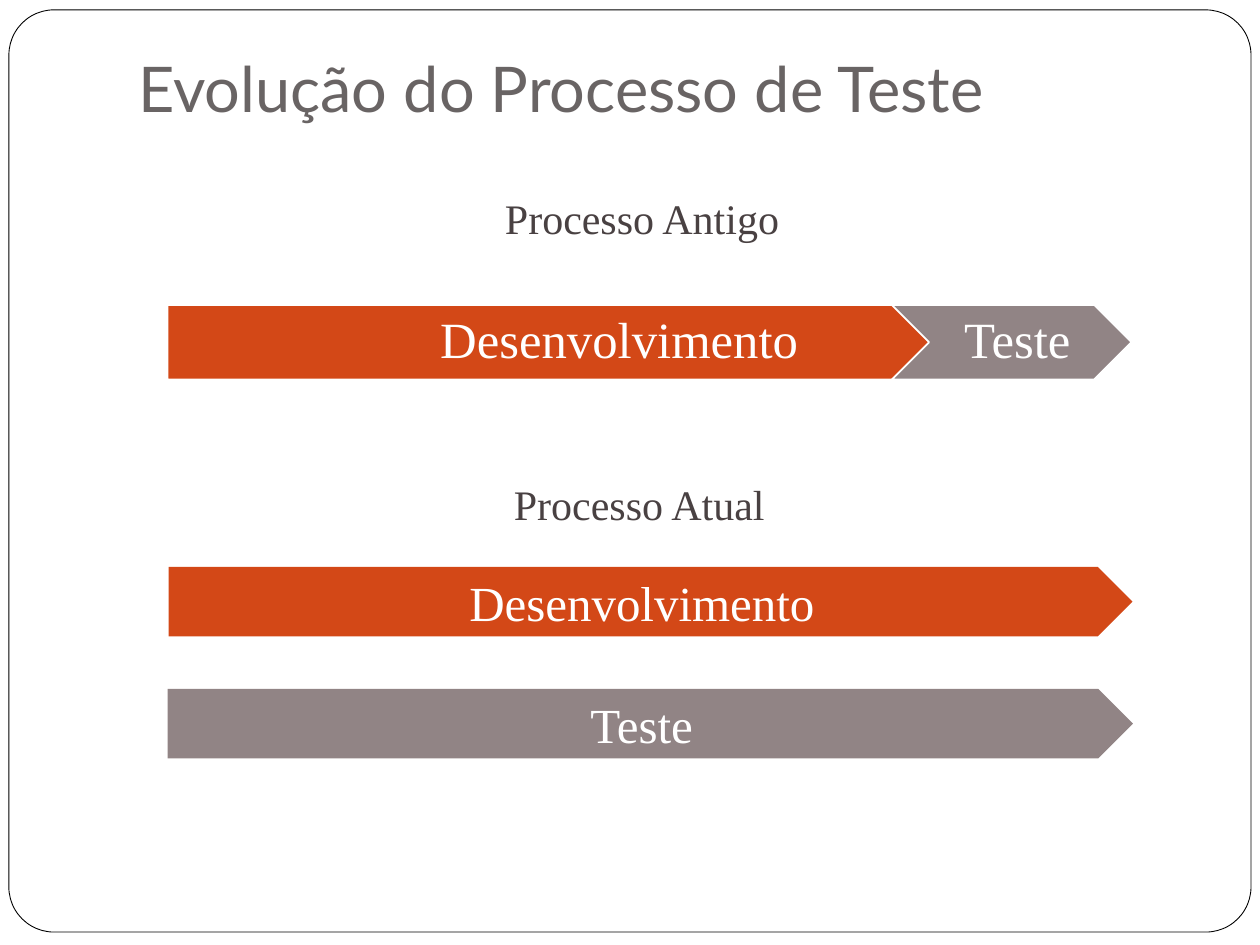
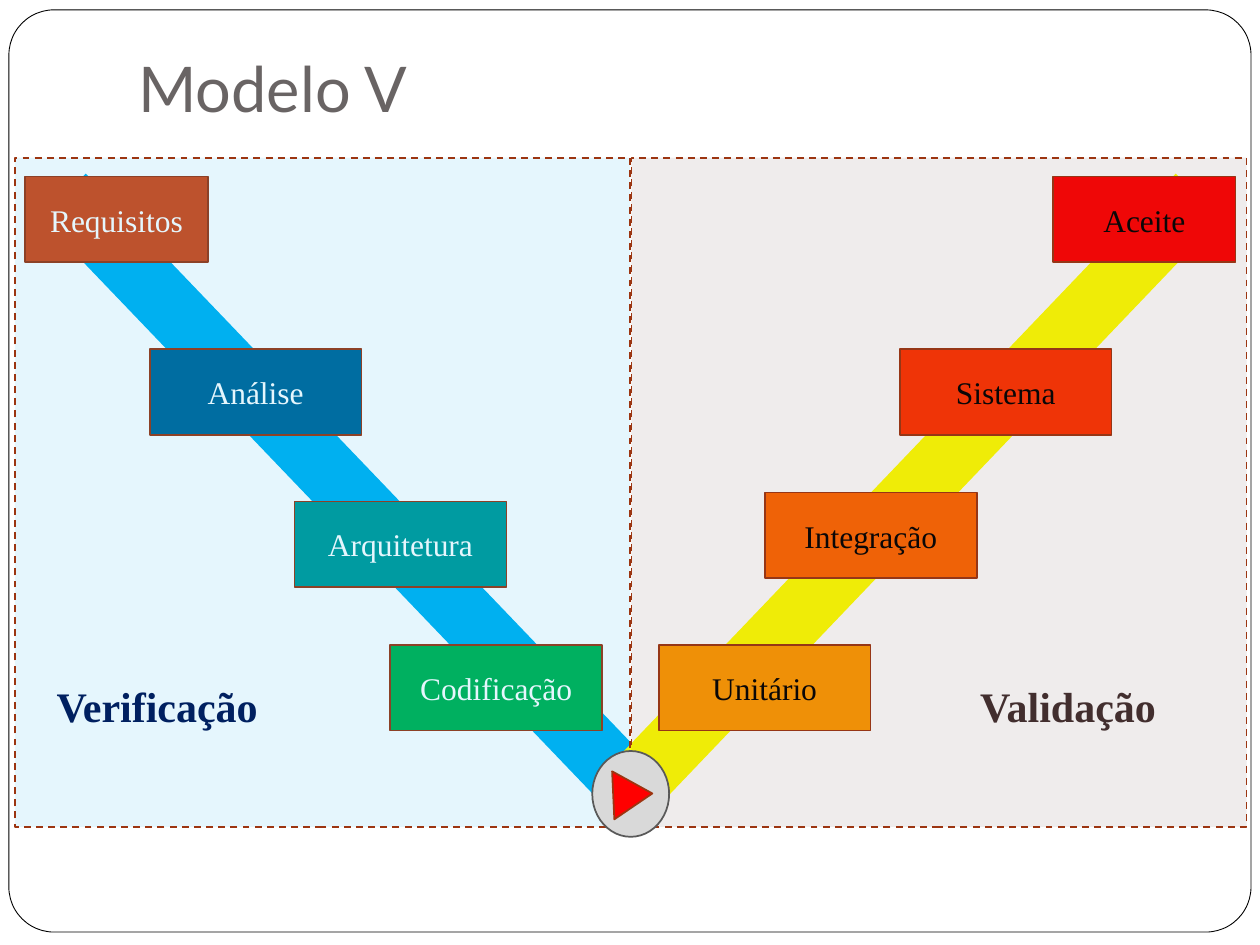
from lxml.etree import SubElement
from pptx import Presentation
from pptx.dml.color import RGBColor
from pptx.enum.dml import MSO_LINE_DASH_STYLE as Dash
from pptx.enum.shapes import MSO_CONNECTOR_TYPE as Connector
from pptx.enum.shapes import MSO_AUTO_SHAPE_TYPE as Shape
from pptx.enum.text import MSO_VERTICAL_ANCHOR as Anchor
from pptx.enum.text import PP_PARAGRAPH_ALIGNMENT as Align
from pptx.oxml.ns import qn
from pptx.util import Cm, Pt

COLORS = {
    "white": "FFFFFF", "black": "000000", "title": "696464",
    "label": "494142", "orange": "D34817", "taupe": "918485",
    "rust": "9C3511", "blue": "006699", "teal": "009999",
    "green": "00B050", "red": "FF0000", "scarlet": "FF3300",
    "tangerine": "FF6600", "amber": "FF9900", "sky": "00B0F0",
    "yellow": "FFFF00", "mauve": "644646", "silver": "D9D9D9",
    "gray": "595959", "navy": "002060", "plum": "422E2E",
}


class Deck:
    body_font = "Times New Roman"
    title_font = "Lato"

    def __init__(self):
        self.deck = Presentation()
        self.deck.slide_width = Cm(25.4)
        self.deck.slide_height = Cm(19.05)
        self.page = None

    def color(self, name):
        return RGBColor.from_string(COLORS[name])

    def add_page(self, title):
        self.page = self.deck.slides.add_slide(self.deck.slide_layouts[6])
        frame = self.shape(Shape.ROUNDED_RECTANGLE, (0.18, 0.2, 25.04, 18.59),
                           "white", "black", 0.5)
        frame.adjustments[0] = 0.049
        box = self.label(title, (2.54, 0.76, 21.59, 2.01), "title", 36,
                         font=self.title_font)
        box.text_frame.vertical_anchor = Anchor.BOTTOM
        box.text_frame.margin_bottom = Cm(0.25)

    def set_text(self, box, text, size, color, font=None, bold=False, align=Align.LEFT):
        box.text_frame.word_wrap = True
        para = box.text_frame.paragraphs[0]
        para.text = text
        para.alignment = align
        para.font.name = font or self.body_font
        para.font.size = Pt(size)
        para.font.bold = bold
        para.font.color.rgb = self.color(color)

    def label(self, text, place, color, size=24, **style):
        box = self.page.shapes.add_textbox(*map(Cm, place))
        self.set_text(box, text, size, color, **style)
        return box

    def shape(self, kind, place, fill, line=None, width=1):
        shape = self.page.shapes.add_shape(kind, *map(Cm, place))
        shape.shadow.inherit = False
        shape.fill.solid()
        shape.fill.fore_color.rgb = self.color(fill)
        if line:
            shape.line.color.rgb = self.color(line)
            shape.line.width = Pt(width)
        else:
            shape.line.fill.background()
        return shape

    def block(self, text, kind, place, fill, line=None, size=18, color="white"):
        shape = self.shape(kind, place, fill, line)
        shape.text_frame.vertical_anchor = Anchor.MIDDLE
        self.set_text(shape, text, size, color, align=Align.CENTER)
        return shape

    def phase(self, text, kind, place, fill, left_margin):
        shape = self.block(text, kind, place, fill, "white", 29)
        frame = shape.text_frame
        frame.margin_left = Cm(left_margin)
        frame.margin_right = Cm(0.1)
        frame.margin_top = frame.margin_bottom = Cm(0.2)
        frame.paragraphs[0].line_spacing = 0.9

    def arm(self, start, end, color):
        arm = self.page.shapes.add_connector(Connector.STRAIGHT, *map(Cm, start + end))
        arm.line.color.rgb = self.color(color)
        arm.line.width = Pt(36)
        SubElement(arm._element.spPr, qn("a:effectLst"))

    def half(self, place, fill):
        half = self.shape(Shape.RECTANGLE, place, fill, "rust")
        half.line.dash_style = Dash.DASH
        tint = half._element.spPr.find(qn("a:solidFill")).find(qn("a:srgbClr"))
        SubElement(tint, qn("a:alpha"), val="10000")


def process_page(deck):
    deck.add_page("Evolução do Processo de Teste")
    deck.block("Desenvolvimento", Shape.PENTAGON, (3.4, 11.43, 19.43, 1.4),
               "orange", size=28)
    deck.block("Teste", Shape.PENTAGON, (3.38, 13.89, 19.46, 1.4), "taupe", size=28)
    deck.phase("Desenvolvimento", Shape.PENTAGON, (3.38, 6.15, 18.26, 1.5),
               "orange", 0.43)
    deck.phase("Teste", Shape.CHEVRON, (17.98, 6.15, 4.83, 1.5), "taupe", 0.33)
    deck.label("Processo Antigo", (9.93, 3.76, 6.93, 1.3), "label")
    deck.label("Processo Atual", (10.11, 9.53, 6.93, 1.3), "label")


def v_model_page(deck):
    deck.add_page("Modelo V")
    vertex = (12.73, 15.9)
    deck.arm((1.27, 3.94), vertex, "sky")
    deck.arm(vertex, (24.16, 3.94), "yellow")

    verification = [
        ("Requisitos", 0.51, 3.56, 3.68, "orange"),
        ("Análise", 3.02, 7.04, 4.27, "blue"),
        ("Arquitetura", 5.94, 10.11, 4.27, "teal"),
        ("Codificação", 7.87, 13.0, 4.27, "green"),
    ]
    validation = [
        ("Aceite", 21.23, 3.56, 3.68, "red"),
        ("Sistema", 18.14, 7.04, 4.27, "scarlet"),
        ("Integração", 15.42, 9.93, 4.27, "tangerine"),
        ("Unitário", 13.28, 13.0, 4.27, "amber"),
    ]
    for steps, ink in ((verification, "white"), (validation, "black")):
        for text, left, top, width, fill in steps:
            deck.block(text, Shape.RECTANGLE, (left, top, width, 1.73),
                       fill, "rust", color=ink)

    for left, fill in ((0.3, "sky"), (12.73, "mauve")):
        deck.half((left, 3.18, 12.4, 13.49), fill)
    deck.shape(Shape.OVAL, (11.94, 15.14, 1.55, 1.73), "silver", "gray")
    pointer = deck.shape(Shape.ISOSCELES_TRIANGLE, (12.27, 15.62, 0.97, 0.79),
                         "red", "rust")
    pointer.rotation = 87.3
    deck.label("Validação", (19.51, 13.59, 5.03, 1.24), "plum", bold=True)
    deck.label("Verificação", (0.89, 13.59, 5.23, 1.24), "navy", bold=True)


def main():
    style = Deck()
    process_page(style)
    v_model_page(style)
    style.deck.save("out.pptx")


if __name__ == "__main__":
    main()
